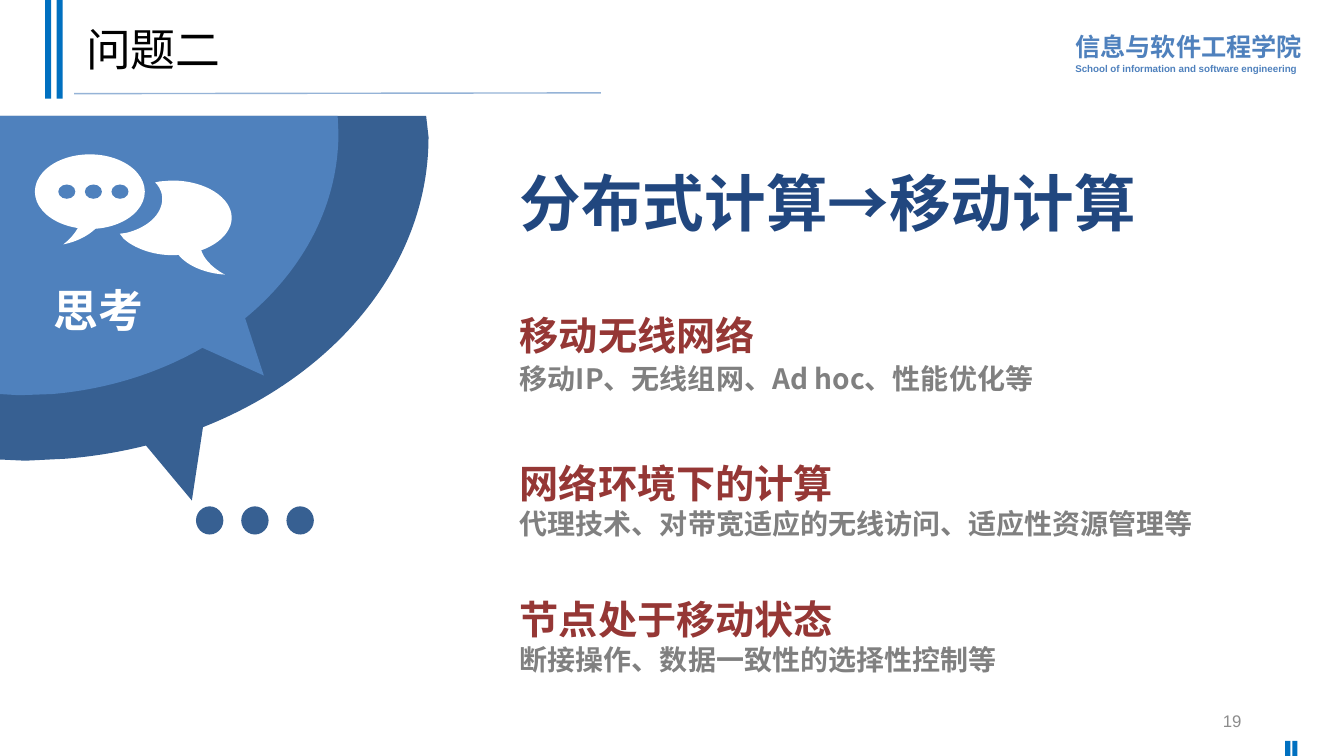
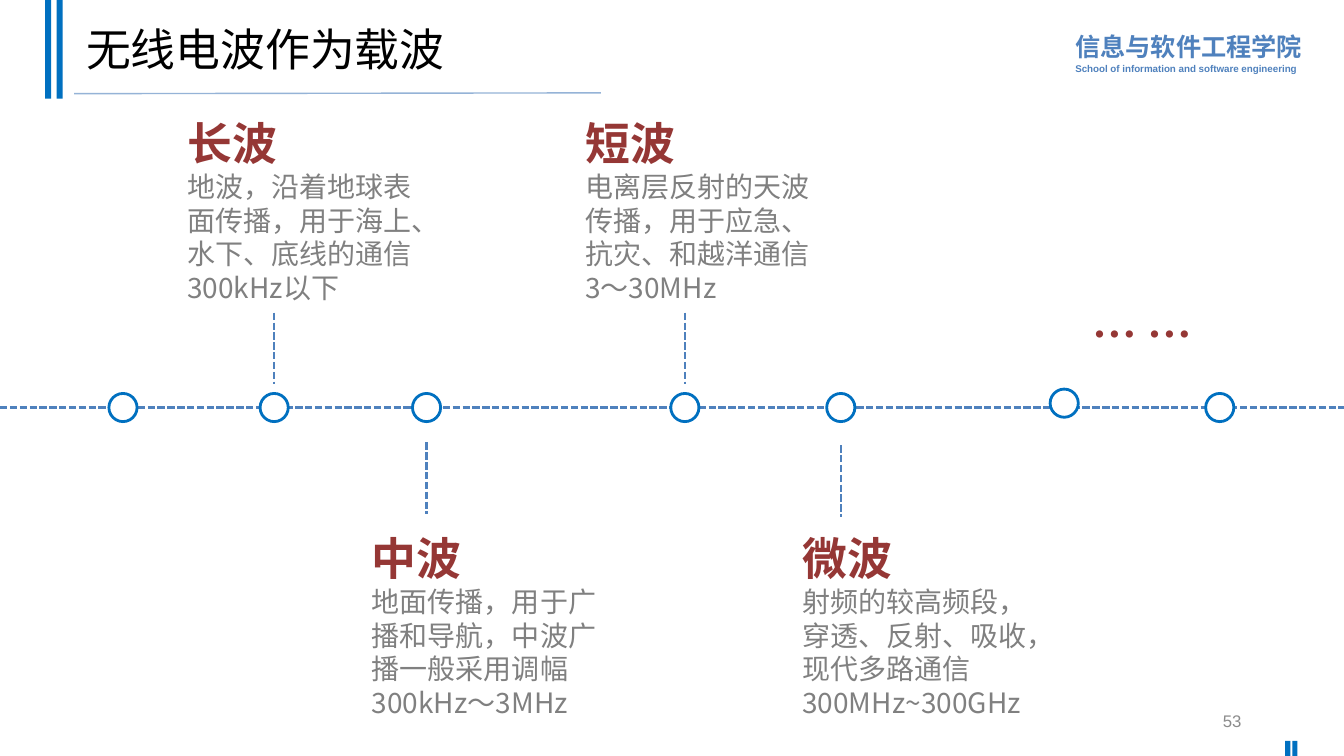
from lxml import etree
from pptx import Presentation
from pptx.dml.color import RGBColor
from pptx.enum.dml import MSO_LINE
from pptx.enum.shapes import MSO_CONNECTOR, MSO_SHAPE
from pptx.enum.text import MSO_ANCHOR, PP_ALIGN
from pptx.oxml.ns import qn
from pptx.util import Cm, Pt

COLORS = {
    "white": "FFFFFF", "black": "000000", "bar": "0070C0", "rule": "95B3D7",
    "blue": "4F81BD", "dark": "376092", "navy": "21477F", "red": "953735",
    "gray": "808080", "page": "8C8C8C",
}
CJK = "Noto Sans CJK SC"
WIDTH, HEIGHT = 33.87, 19.05

SCHOOL = [
    ("信息与软件工程学院", dict(size=18)),
    ("School of information and software engineering", dict(size=7)),
]
BARS = [(1.14, 0, 0.15, 2.49), (1.43, 0, 0.15, 2.49),
        (32.39, 18.67, 0.13, 0.38), (32.57, 18.67, 0.13, 0.38)]

HEADING = "分布式计算→移动计算"
# topic, its format, detail, its format
TOPICS = [
    ("移动无线网络", dict(spacing=2, before=18),
     "移动IP、无线组网、Ad hoc、性能优化等", dict(spacing=1.1)),
    ("网络环境下的计算", dict(spacing=1.1, before=43),
     "代理技术、对带宽适应的无线访问、适应性资源管理等", {}),
    ("节点处于移动状态", dict(spacing=1.1, before=36),
     "断接操作、数据一致性的选择性控制等", {}),
]

# Outlines: two numbers make a straight step, six a cubic curve
OUTER_BUBBLE = [(0, 2.92), (10.74, 2.92), (10.8, 3.45),
                (10.8, 7.67, 6.78, 11.15, 1.65, 11.56), (0.64, 11.61), (0, 11.58)]
INNER_BUBBLE = [(0, 2.92), (8.51, 2.92), (8.53, 3.35),
                (8.53, 6.78, 5.36, 9.58, 1.32, 9.93), (0.48, 9.96), (0, 9.93)]
BACK_BALLOON = [(4.34, 4.55), (5.18, 4.55, 5.84, 4.98, 5.84, 5.49),
                (5.84, 5.99, 5.18, 6.43, 4.34, 6.43),
                (3.84, 6.43, 3.38, 6.25, 3.12, 6.02), (3.02, 5.89), (3.18, 5.87),
                (3.71, 5.74, 4.09, 5.41, 4.09, 5),
                (4.09, 4.88, 4.04, 4.75, 3.96, 4.65), (3.91, 4.6), (4.04, 4.57),
                (4.14, 4.57, 4.24, 4.55, 4.34, 4.55)]

AXIS_Y, NODE_SIZE, STEM = 10.27, 0.71, 1.8
EXTRA_NODES = [(3.1, AXIS_Y), (26.82, 10.16), (30.74, AXIS_Y)]
# node x, stem top, text left, text top, text width, name, details
WAVES = [
    (6.91, 7.88, 4.47, 2.79, 6.25, "长波",
     ["地波，沿着地球表面传播，用于海上、水下、底线的通信", "300kHz以下"]),
    (10.75, 11.15, 9.12, 13.25, 6.25, "中波",
     ["地面传播，用于广播和导航，中波广播一般采用调幅", "300kHz～3MHz"]),
    (17.26, 7.88, 14.5, 2.79, 6.25, "短波",
     ["电离层反射的天波传播，用于应急、抗灾、和越洋通信", "3～30MHz"]),
    (21.19, 11.22, 19.97, 13.25, 6.83, "微波",
     ["射频的较高频段，", "穿透、反射、吸收，现代多路通信", "300MHz~300GHz"]),
]


def rgb(name):
    return RGBColor.from_string(COLORS[name])


def add_text(s, box, paras, anchor=MSO_ANCHOR.TOP, **common):
    """Add a text box; paras holds (text, format) pairs that refine the common format."""
    tf = s.shapes.add_textbox(*map(Cm, box)).text_frame
    tf.word_wrap = True
    tf.vertical_anchor = anchor
    for i, (text, own) in enumerate(paras):
        fmt = dict(font="Arial", bold=False, spacing=1.0, before=0,
                   align=PP_ALIGN.LEFT) | common | own
        p = tf.add_paragraph() if i else tf.paragraphs[0]
        p.alignment = fmt["align"]
        p.line_spacing = fmt["spacing"]
        p.space_before = Pt(fmt["before"])
        r = p.add_run()
        r.text = text
        r.font.name = fmt["font"]
        r.font.size = Pt(fmt["size"])
        r.font.bold = fmt["bold"]
        r.font.color.rgb = rgb(fmt["color"])
        ea = etree.SubElement(r.font._element, qn("a:ea"))
        ea.set("typeface", CJK)


def paint(sp, fill, line=None):
    sp.shadow.inherit = False
    sp.fill.solid()
    sp.fill.fore_color.rgb = rgb(fill)
    if line:
        sp.line.color.rgb = rgb(line)
        sp.line.width = Pt(2)
    else:
        sp.line.fill.background()


def add_shape(s, kind, box, fill, line=None, rotation=0):
    sp = s.shapes.add_shape(kind, *map(Cm, box))
    sp.rotation = rotation
    paint(sp, fill, line)


def add_line(s, start, end, color, width, dashed=False):
    c = s.shapes.add_connector(MSO_CONNECTOR.STRAIGHT, *map(Cm, start + end))
    c.line.color.rgb = rgb(color)
    c.line.width = Pt(width)
    if dashed:
        c.line.dash_style = MSO_LINE.SQUARE_DOT
    etree.SubElement(c._element.spPr, qn("a:effectLst"))


def add_outline(s, steps, fill):
    """Draw all points as straight steps, then turn each curve's three into one cubic."""
    points = [(Cm(step[i]), Cm(step[i + 1]))
              for step in steps for i in range(0, len(step), 2)]
    builder = s.shapes.build_freeform(*points[0])
    builder.add_line_segments(points[1:], close=True)
    sp = builder.convert_to_shape()
    lines = iter(list(sp._element.iter(qn("a:lnTo"))))
    for step in steps[1:]:
        first = next(lines)
        if len(step) == 6:
            first.tag = qn("a:cubicBezTo")
            for _ in range(2):
                extra = next(lines)
                first.append(extra[0])
                extra.getparent().remove(extra)
    paint(sp, fill)


def add_dots(s, left, top, step, width, height, fill):
    for i in range(3):
        add_shape(s, MSO_SHAPE.OVAL, (left + i * step, top, width, height), fill)


def new_slide(prs, title, number):
    s = prs.slides.add_slide(prs.slide_layouts[6])
    s.background.fill.solid()
    s.background.fill.fore_color.rgb = rgb("white")
    add_text(s, (26.85, 0.58, 6.22, 1.42), SCHOOL, color="blue", bold=True, spacing=1.1)
    for bar in BARS:
        add_shape(s, MSO_SHAPE.RECTANGLE, bar, "bar")
    add_line(s, (1.87, 2.36), (15.14, 2.34), "rule", 1)
    add_text(s, (1.92, 0.18, 29.21, 2.24), [(title, {})], MSO_ANCHOR.MIDDLE,
             size=32, color="black", spacing=0.9)
    add_text(s, (23.92, 17.65, 7.62, 1.02), [(str(number), {})], MSO_ANCHOR.MIDDLE,
             size=12, color="page", align=PP_ALIGN.RIGHT)
    return s


def add_chat_icon(s):
    front = s.shapes.add_group_shape()
    add_shape(front, MSO_SHAPE.MOON, (1.42, 4.37, 1.27, 1.68), "white", rotation=168.7)
    add_shape(front, MSO_SHAPE.OVAL, (0.88, 3.89, 2.77, 1.88), "white")
    add_dots(front, 1.47, 4.65, 0.67, 0.43, 0.36, "blue")
    back = s.shapes.add_group_shape()
    add_shape(back, MSO_SHAPE.MOON, (4.35, 5.23, 1.37, 1.65), "white", rotation=3.5)
    add_outline(back, BACK_BALLOON, "white")


def build_question(prs):
    s = new_slide(prs, "问题二", 19)
    triangle = MSO_SHAPE.ISOSCELES_TRIANGLE
    add_outline(s, OUTER_BUBBLE, "dark")
    add_shape(s, triangle, (3.6, 10.54, 1.9, 2.11), "dark", rotation=164.4)
    inner = s.shapes.add_group_shape()
    add_outline(inner, INNER_BUBBLE, "blue")
    add_shape(inner, triangle, (5.33, 7.98, 1.5, 1.7), "blue", rotation=138.1)
    add_chat_icon(s)
    paras = [(HEADING, dict(size=44, color="navy", spacing=1.1))]
    for topic, topic_fmt, detail, detail_fmt in TOPICS:
        paras.append((topic, dict(size=28, color="red") | topic_fmt))
        paras.append((detail, dict(size=20, color="gray") | detail_fmt))
    add_text(s, (12.85, 3.84, 19.5, 13.46), paras, font=CJK, bold=True)
    add_dots(s, 4.94, 12.76, 1.14, 0.69, 0.71, "dark")
    add_text(s, (1.1, 6.86, 4.19, 1.65), [("思考", {})],
             size=32, color="white", bold=True, spacing=1.1)


def build_waves(prs):
    s = new_slide(prs, "无线电波作为载波", 53)
    add_line(s, (0, AXIS_Y), (WIDTH, AXIS_Y), "blue", 1.75, dashed=True)
    for x, y in EXTRA_NODES + [(wave[0], AXIS_Y) for wave in WAVES]:
        box = (x - NODE_SIZE / 2, y - NODE_SIZE / 2, NODE_SIZE, NODE_SIZE)
        add_shape(s, MSO_SHAPE.OVAL, box, "white", "bar")
    name_fmt = dict(size=32, color="red", bold=True)
    for x, stem_top, left, top, width, name, details in WAVES:
        add_line(s, (x, stem_top), (x, stem_top + STEM), "blue", 1.75, dashed=True)
        add_text(s, (left, top, width, 5.05),
                 [(name, name_fmt)] + [(detail, {}) for detail in details],
                 font=CJK, size=20, color="gray")
    add_text(s, (27.17, 7.61, 3.23, 1.63), [("… …", name_fmt)],
             font=CJK, align=PP_ALIGN.CENTER)


def main():
    prs = Presentation()
    prs.slide_width, prs.slide_height = Cm(WIDTH), Cm(HEIGHT)
    build_question(prs)
    build_waves(prs)
    prs.save("out.pptx")


if __name__ == "__main__":
    main()
